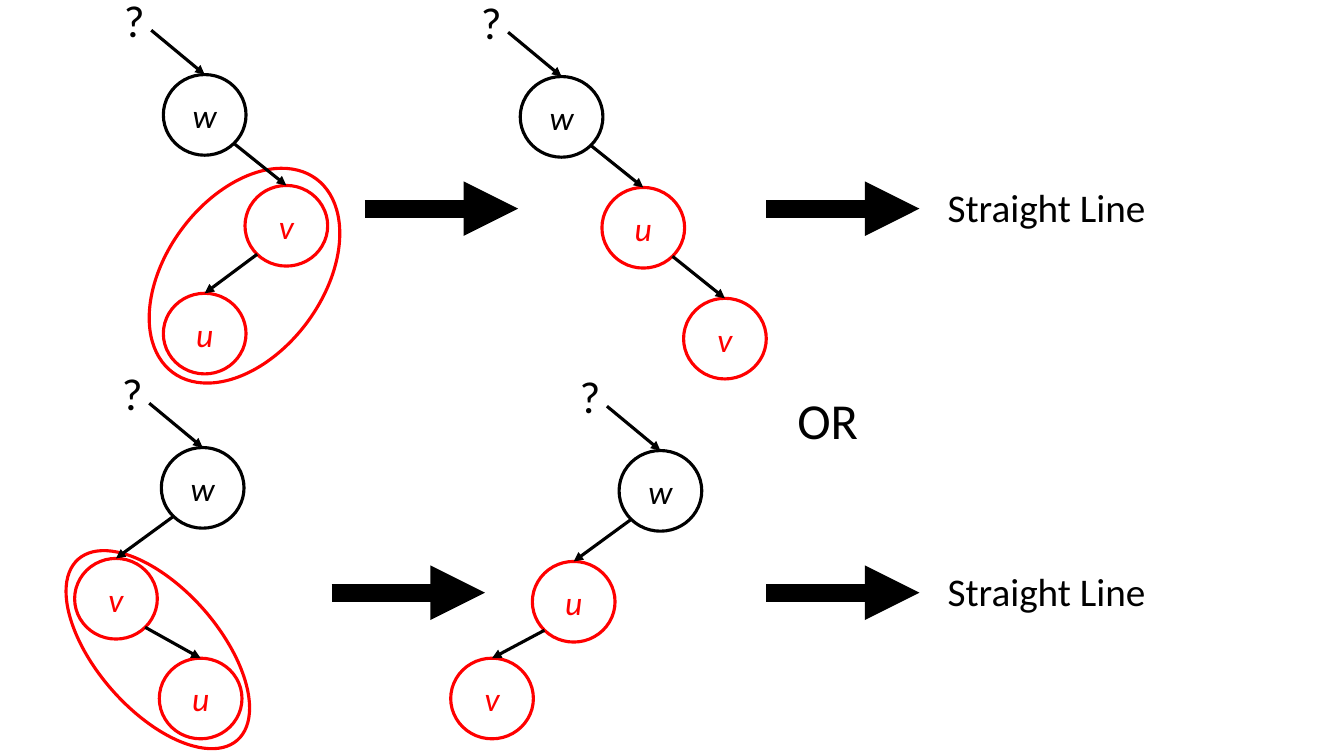
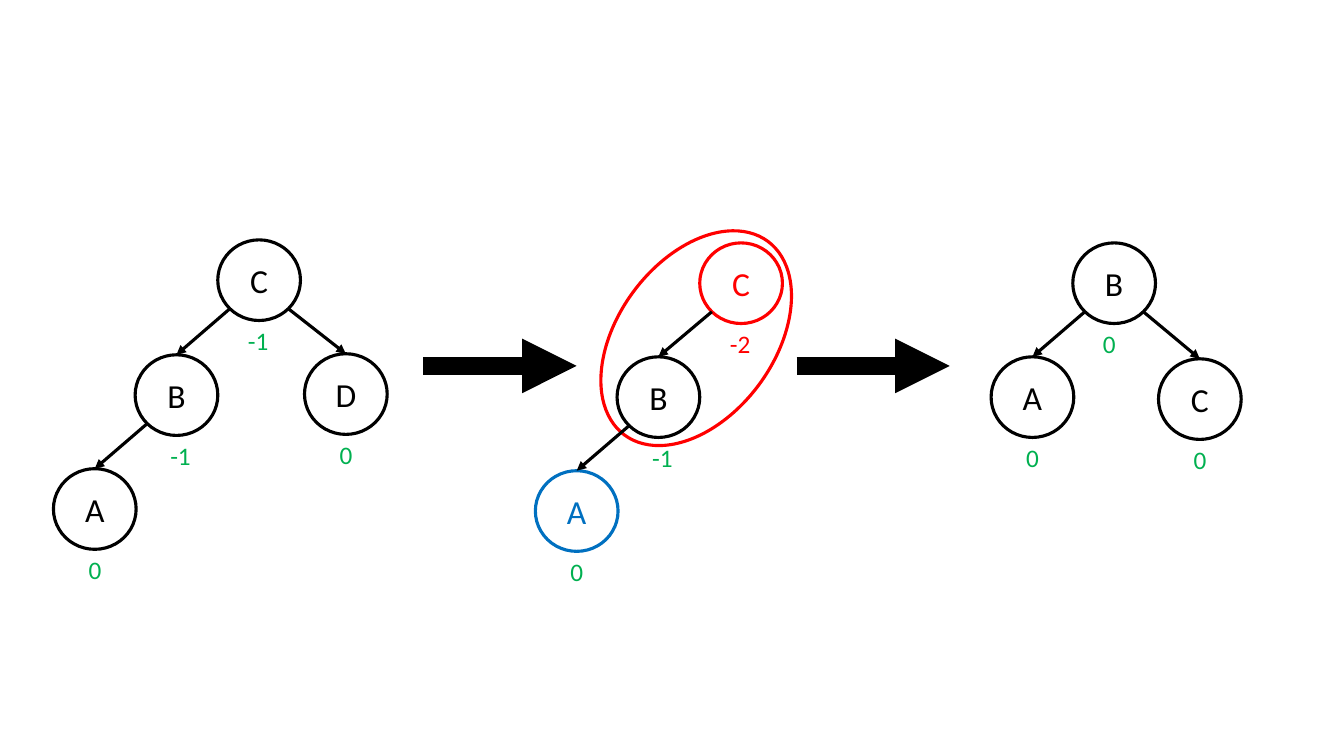
from lxml import etree
from pptx import Presentation
from pptx.dml.color import RGBColor
from pptx.enum.shapes import MSO_CONNECTOR, MSO_SHAPE
from pptx.enum.text import MSO_ANCHOR, MSO_AUTO_SIZE, PP_ALIGN
from pptx.oxml.ns import qn
from pptx.util import Inches, Pt

COLORS = {"black": "000000", "red": "FF0000", "green": "00B050", "blue": "0070C0"}
FONT = "Calibri"
NODE_W, NODE_H = 0.82, 0.8
CORNER = 0.7071  # edges leave a node at 45 degrees
THIN, THICK = 2.25, 13

# Node: label, left, top, colour, parent index, balance factor, balance colour
# Oval: left, top, width, height, rotation
# Step: start x, end x, y.  Caption: text, left, top, width, height, size
SLIDES = [
    {
        "italic": True,
        "trees": [
            [("w", 1.62, 0.74, "black", None), ("v", 2.43, 1.84, "red", 0),
             ("u", 1.62, 2.91, "red", 1)],
            [("w", 5.16, 0.76, "black", None), ("u", 5.97, 1.86, "red", 0),
             ("v", 6.78, 2.96, "red", 1)],
            [("w", 1.6, 4.44, "black", None), ("v", 0.74, 5.54, "red", 0),
             ("u", 1.58, 6.53, "red", 1)],
            [("w", 6.14, 4.47, "black", None), ("u", 5.28, 5.57, "red", 0),
             ("v", 4.47, 6.53, "red", 1)],
        ],
        "ovals": [(1.23, 1.96, 2.39, 1.55, 306.5), (0.37, 5.84, 2.39, 1.21, 48.7)],
        "steps": [(3.62, 5.14, 2.07), (7.6, 9.12, 2.07),
                  (3.29, 4.81, 5.88), (7.6, 9.12, 5.88)],
        "captions": [("Straight Line", 9.3, 1.77, 2.93, 0.57, 28),
                     ("OR", 7.81, 3.81, 0.84, 0.71, 36),
                     ("Straight Line", 9.3, 5.58, 2.93, 0.57, 28)],
    },
    {
        "italic": None,
        "trees": [
            [("C", 2.16, 2.38, "black", None, "-1", "green"),
             ("B", 1.34, 3.52, "black", 0, "-1", "green"),
             ("D", 3.02, 3.51, "black", 0, "0", "green"),
             ("A", 0.53, 4.65, "black", 1, "0", "green")],
            [("C", 6.94, 2.41, "red", None, "-2", "red"),
             ("B", 6.12, 3.54, "black", 0, "-1", "green"),
             ("A", 5.31, 4.67, "blue", 1, "0", "green")],
            [("B", 10.64, 2.41, "black", None, "0", "green"),
             ("A", 9.83, 3.54, "black", 0, "0", "green"),
             ("C", 11.49, 3.56, "black", 0, "0", "green")],
        ],
        "ovals": [(5.71, 2.58, 2.39, 1.55, 306.5)],
        "steps": [(4.2, 5.72, 3.63), (7.9, 9.42, 3.63)],
        "captions": [],
    },
]


def add_arrow(slide, start, end, width):
    """Draw a black arrow between two points given in inches."""
    points = [Inches(v) for v in (*start, *end)]
    arrow = slide.shapes.add_connector(MSO_CONNECTOR.STRAIGHT, *points)
    arrow.line.color.rgb = RGBColor.from_string(COLORS["black"])
    arrow.line.width = Pt(width)
    line = arrow.line._get_or_add_ln()
    etree.SubElement(line, qn("a:tailEnd"), type="triangle")
    etree.SubElement(arrow._element.spPr, qn("a:effectLst"))


def add_item(slide, box, color, text="", size=24, oval=False, italic=None, wrap=True):
    """Add an outlined oval or a text box, with its text, and return it."""
    box = [Inches(v) for v in box]
    rgb = RGBColor.from_string(COLORS[color])
    if oval:
        item = slide.shapes.add_shape(MSO_SHAPE.OVAL, *box)
        item.shadow.inherit = False
        item.fill.background()
        item.line.color.rgb = rgb
        item.line.width = Pt(THIN)
    else:
        item = slide.shapes.add_textbox(*box)
    if text:
        frame = item.text_frame
        frame.word_wrap = wrap
        paragraph = frame.paragraphs[0]
        if oval:
            frame.vertical_anchor = MSO_ANCHOR.MIDDLE
            paragraph.alignment = PP_ALIGN.CENTER
        else:
            frame.auto_size = MSO_AUTO_SIZE.SHAPE_TO_FIT_TEXT
        run = paragraph.add_run()
        run.text = text
        run.font.name = FONT
        run.font.size = Pt(size)
        run.font.italic = italic
        run.font.color.rgb = rgb
    return item


prs = Presentation()
prs.slide_width, prs.slide_height = Inches(13.33), Inches(7.5)
blank = prs.slide_layouts[6]

for content in SLIDES:
    slide = prs.slides.add_slide(blank)

    for *box, rotation in content["ovals"]:
        add_item(slide, box, "red", oval=True).rotation = rotation

    for x1, x2, y in content["steps"]:
        add_arrow(slide, (x1, y), (x2, y), THICK)

    for tree in content["trees"]:
        for label, left, top, color, parent, *balance in tree:
            add_item(slide, (left, top, NODE_W, NODE_H), color, label,
                     oval=True, italic=content["italic"])
            node_top = (left + NODE_W / 2, top)

            if parent is not None:
                parent_left, parent_top = tree[parent][1:3]
                side = 1 if left > parent_left else -1
                start = (parent_left + NODE_W / 2 * (1 + side * CORNER),
                         parent_top + NODE_H / 2 * (1 + CORNER))
                add_arrow(slide, start, node_top, THIN)
            elif not balance:
                add_arrow(slide, (left - 0.12, top - 0.44), node_top, THIN)
                add_item(slide, (left - 0.49, top - 0.86, 0.29, 0.64),
                         "black", "?", 32)

            if balance:
                factor, factor_color = balance
                indent = 0.2 if parent is None else 0.25
                width = 0.41 if len(factor) == 2 else 0.33
                add_item(slide, (left + indent, top + 0.8, width, 0.4),
                         factor_color, factor, 18, wrap=False)

    for text, *box, size in content["captions"]:
        add_item(slide, box, "black", text, size)

prs.save("out.pptx")
